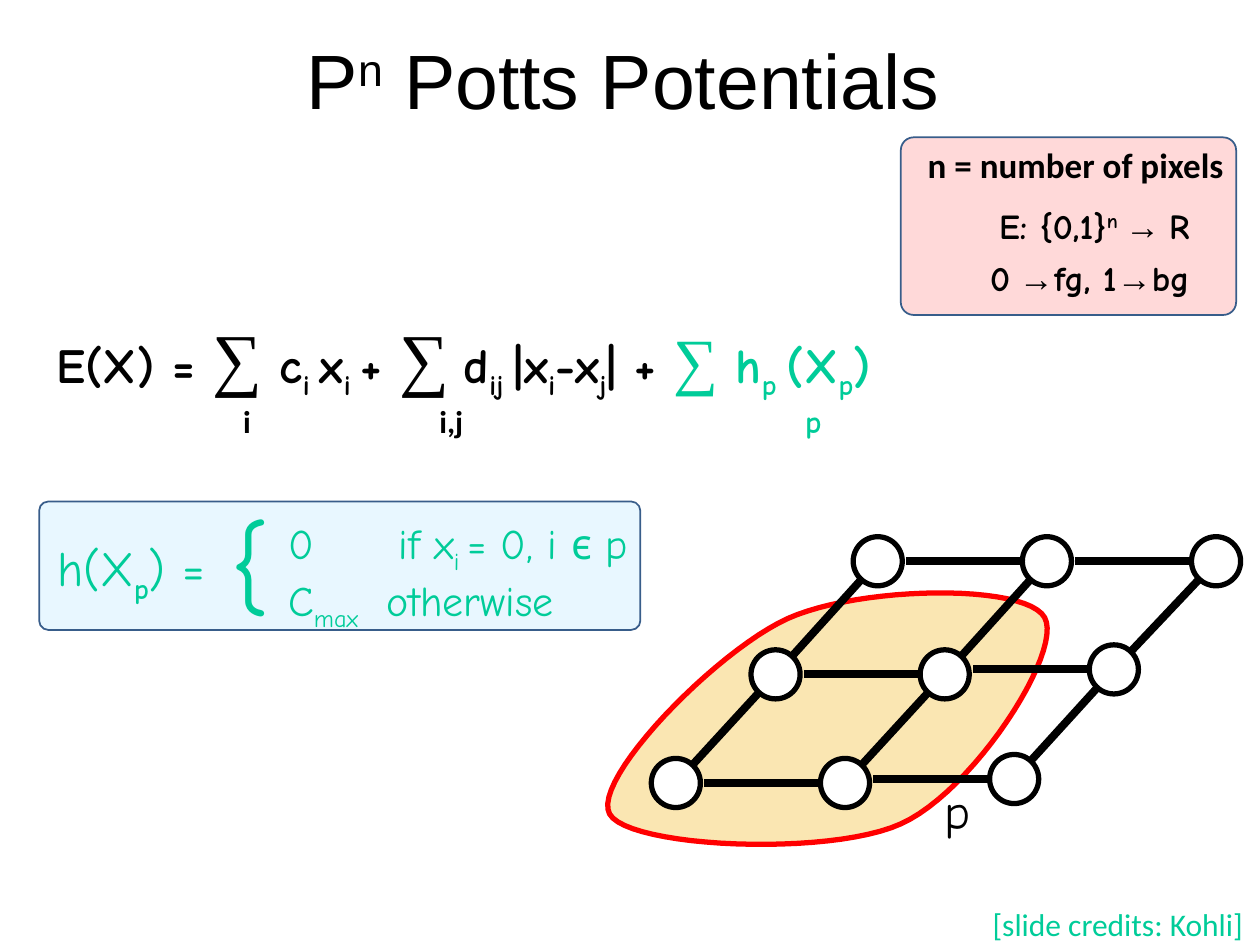
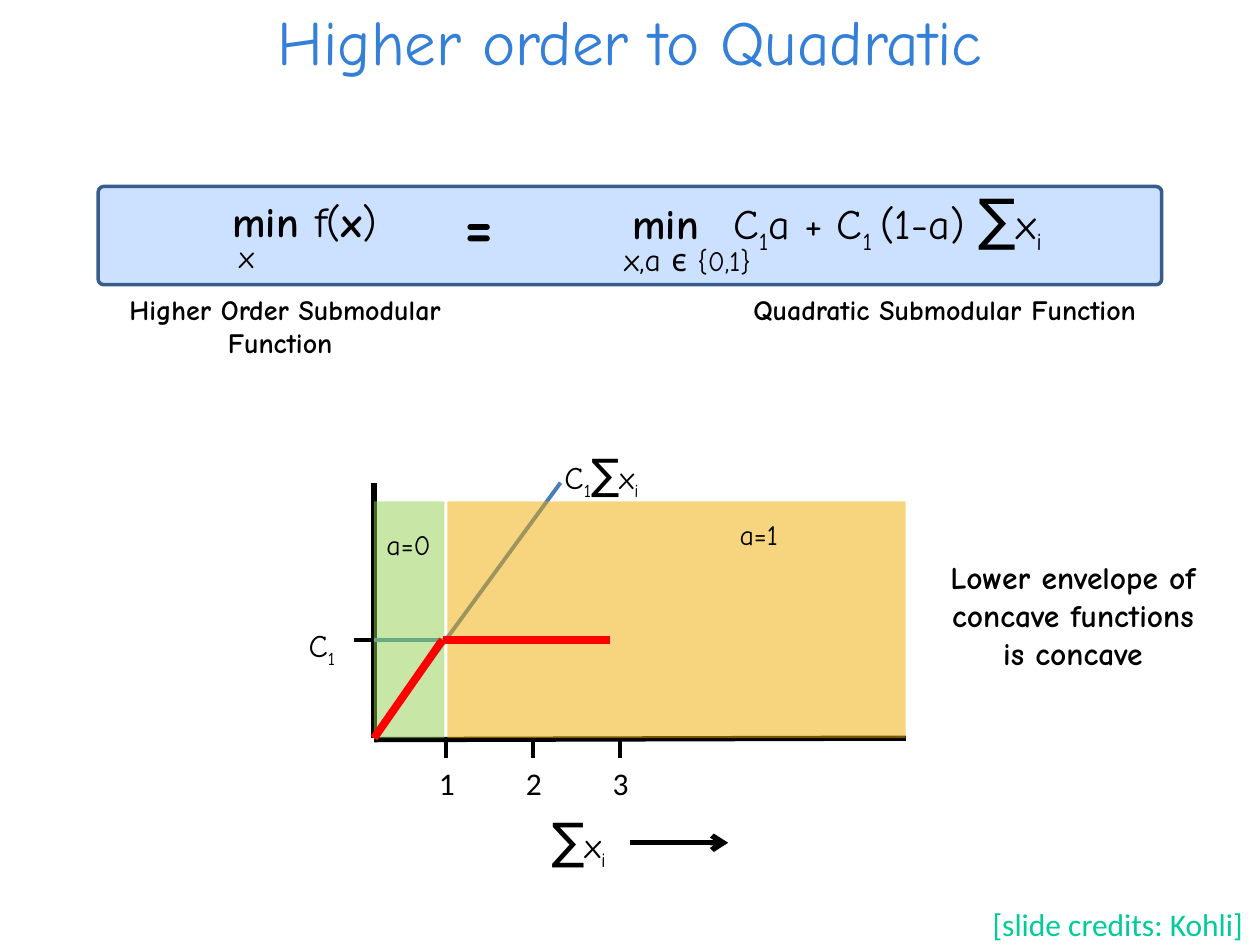
from dataclasses import dataclass

from lxml.etree import SubElement
from pptx import Presentation
from pptx.dml.color import RGBColor
from pptx.enum.shapes import MSO_CONNECTOR, MSO_SHAPE
from pptx.enum.text import MSO_ANCHOR, MSO_AUTO_SIZE, PP_ALIGN
from pptx.oxml.ns import qn
from pptx.util import Cm, Pt


@dataclass(frozen=True)
class Theme:
    ink: str = "000000"
    paper: str = "FFFFFF"
    mint: str = "00CC99"
    head: str = "347FD8"
    edge: str = "385D8A"
    blue: str = "4A7EBB"
    red: str = "FF0000"
    gold: str = "F0AD00"
    lime: str = "92D050"
    sky: str = "66CCFF"
    azure: str = "0066FF"
    hand: str = "Comic Neue"
    serif: str = "Times New Roman"
    sans: str = "Calibri"
    arial: str = "Arial"
    huge: int = 44
    big: int = 36
    math: int = 28
    mid: int = 24
    body: int = 20
    note: int = 18
    small: int = 16


T = Theme()
LEFT, CENTER, RIGHT = PP_ALIGN.LEFT, PP_ALIGN.CENTER, PP_ALIGN.RIGHT

# A paragraph is a list of runs: a string, or (string, format changes).
# Inside a string, "~" switches subscript on and off.
ARROW = {"font": T.serif}
SUM = {"font": T.serif, "size": 40, "bold": False}
MINT = {"color": T.mint}
CREDIT = (19.76, 18.11, 5.6, 1), ["[slide credits: Kohli]"]

POTTS_HEAD = ["P", ("n", {"base": 30}), " Potts Potentials "]
ENERGY = [
    "E(X) = ", ("∑ ", SUM), "c~i ~x~i ~+", (" ∑", SUM),
    (" ", SUM | {"size": 32}), "d~ij ~|x~i~-x~j~| + ",
    ("∑", SUM | MINT | {"size": T.big}), (" h~p ~(X~p~)", MINT),
]
DOMAIN = [
    ["E: {0,1}", ("n ", {"base": 30}), ("→ ", ARROW), "R"],
    ["0", (" →", ARROW), "fg, 1", ("→", ARROW), "bg"],
]
CASES = [["0\tif x~i ~= 0, i ϵ p"], ["C~max~\totherwise"]]

POTTS_PANELS = [
    ((0.79, 10.11, 12.12, 2.59), T.sky, 15),
    ((18.16, 2.77, 6.76, 3.58), T.red, 15),
]
INDEX = {"size": T.note, "bold": True}
POTTS_TEXT = [
    ((0.89, 6.2, 23, 3.2), [ENERGY], {"size": T.math, "bold": True}),
    ((4.65, 7.98, 0.8, 1), [["i"]], INDEX | {"font": T.sans}),
    ((8.61, 7.98, 1.4, 1), [["i,j"]], INDEX | {"font": T.sans}),
    ((15.98, 7.98, 1.2, 1), [["p"]], INDEX | MINT),
    ((18.8, 15.6, 1.2, 1.45), [["p"]], {"size": T.math}),
    ((4.39, 9.93, 2.2, 2.8), [["{"]], MINT | {"size": 60}),
    ((5.56, 10.31, 8.2, 2.57), CASES,
     MINT | {"size": T.mid, "tabs": (2.23, 1.98)}),
    ((0.91, 10.72, 3.9, 1.6),
     [["h(X", ("~p~", {"bold": True}), ") ="]], MINT | {"size": T.math}),
    ((18.5, 3.99, 5.73, 2.16), DOMAIN,
     {"size": T.body, "bold": True, "align": RIGHT, "gap": 6}),
    ((17.96, 2.77, 6.96, 1.95), [["n = number of pixels"]],
     {"size": T.body, "bold": True, "font": T.sans, "align": RIGHT}),
]

PATCH = [  # closed chain of cubic curves: start, then control, control, end
    (15.88, 12.47), (17.35, 11.81), (20.68, 11.76), (21.06, 12.45),
    (21.44, 13.13), (19.63, 15.95), (18.16, 16.61), (16.71, 17.27),
    (12.67, 17.09), (12.29, 16.41), (11.91, 15.72), (14.43, 13.13),
    (15.88, 12.47),
]
ROWS = [(17.2, 10.82, 0), (15.14, 13.1, 0.1), (13.13, 15.29, 0.08)]
COLS, STEP, DISC = 3, 3.41, 0.99

QUAD_PANEL = (1.98, 3.76, 21.44, 1.98), T.azure, 20
BOLD = {"bold": True}
CAPTION = {"size": T.small, "bold": True, "align": CENTER}
QUAD_TEXT = [
    ((2.18, 3.68, 7.92, 1.45),
     [[("min", BOLD), (" ", {"size": T.math}), "f(", ("x", BOLD), ")"]],
     {"size": T.mid, "align": CENTER}),
    ((12.5, 3.58, 10.5, 1.7),
     [[("min", BOLD), "\tC~1~a + C~1 ~(1-a) ", ("∑", {"size": 32}), "x~i~"]],
     {"size": T.mid, "tabs": (2.03,)}),
    ((4.57, 4.65, 1.4, 1), [["x"]], {}),
    ((9.12, 3.61, 2.4, 1.78), [["="]], {"size": T.big, "bold": True}),
    ((12.34, 4.72, 3.6, 1), [["x,a ϵ ", ("{0,1}", {"size": T.small})]], {}),
    ((2.18, 5.77, 7.14, 1.63), [["Higher Order Submodular Function "]],
     CAPTION),
    ((14.88, 5.77, 8.33, 0.94), [["Quadratic Submodular Function "]],
     CAPTION),
    ((10.87, 16.2, 2.2, 1.5), [[("∑", {"size": T.math}), "x~i~"]],
     {"size": T.body}),
    ((5.97, 12.5, 1.3, 1.1), [["C~1~"]], {}),
    ((11.13, 8.89, 2.6, 1.35), [["C~1~", ("∑", {"size": T.mid}), "x~i~"]],
     {}),
    ((14.66, 10.31, 2.4, 0.94), [["a=1"]], {"size": T.small}),
    ((7.54, 10.52, 2.4, 0.94), [["a=0"]], {"size": T.small}),
    ((18.85, 11.13, 5.56, 2.54),
     [["Lower envelope of concave functions is concave"]],
     {"bold": True, "align": CENTER}),
]

X0, Y0 = 7.54, 14.88          # plot origin
TOP, END, CAP = 9.73, 18.26, 12.9
TICK, GAP = 8.99, 1.75        # first tick and distance between ticks
BANDS = [((X0, 10.11, 1.42, 4.77), T.lime), ((9.02, 10.11, 9.24, 4.77), T.gold)]
AXES = [
    ((X0, TOP), (X0, Y0), T.ink, 3),
    ((END, Y0), (X0, Y0 + 0.03), T.ink, 3),
    ((X0 - 0.4, CAP), (X0, CAP), T.ink, 2.25),
    ((X0, Y0), (11.3, TOP), T.blue, 2.25),
    ((X0, CAP), (12.29, CAP), T.blue, 2.25),
]
LOWER = [
    ((X0, Y0), (8.92, CAP), T.red, 4.5),
    ((8.94, CAP), (12.29, CAP), T.red, 4.5),
]


def rgb(code):
    return RGBColor.from_string(code)


def write(frame, paras, font=T.hand, size=T.note, color=T.ink, bold=False,
          align=LEFT, gap=0, tabs=(), anchor=MSO_ANCHOR.TOP):
    """Fill a text frame; gap (points) separates paragraphs, tabs are in cm."""
    frame.word_wrap = True
    frame.auto_size = MSO_AUTO_SIZE.NONE
    frame.vertical_anchor = anchor
    basis = {"font": font, "size": size, "color": color, "bold": bold,
             "base": 0}
    for n, runs in enumerate(paras):
        para = frame.add_paragraph() if n else frame.paragraphs[0]
        para.alignment = align
        if n and gap:
            para.space_before = Pt(gap)
        if tabs:
            stops = SubElement(para._p.get_or_add_pPr(), qn("a:tabLst"))
            SubElement(stops, qn("a:tab"), pos=str(Cm(tabs[n])), algn="l")
        for item in runs:
            words, change = (item, {}) if isinstance(item, str) else item
            look = basis | change
            for k, part in enumerate(words.split("~")):
                if not part:
                    continue
                run = para.add_run()
                run.text = part
                run.font.name = look["font"]
                run.font.size = Pt(look["size"])
                run.font.bold = look["bold"]
                run.font.color.rgb = rgb(look["color"])
                base = -25 if k % 2 else look["base"]
                if base:
                    run._r.get_or_add_rPr().set("baseline", str(base * 1000))


def label(slide, at, paras, **look):
    write(slide.shapes.add_textbox(*map(Cm, at)).text_frame, paras, **look)


def paint(shape, fill, alpha=100, line=None, width=1):
    """Set flat fill, opacity in percent and outline."""
    shape.shadow.inherit = False
    shape.fill.solid()
    shape.fill.fore_color.rgb = rgb(fill)
    if alpha < 100:
        tint = shape._element.spPr.find(qn("a:solidFill"))[0]
        SubElement(tint, qn("a:alpha"), val=str(alpha * 1000))
    if line:
        shape.line.color.rgb = rgb(line)
        shape.line.width = Pt(width)
    else:
        shape.line.fill.background()


def panel(slide, at, fill, alpha, adj=0.072, width=1):
    shape = slide.shapes.add_shape(MSO_SHAPE.ROUNDED_RECTANGLE, *map(Cm, at))
    shape.adjustments[0] = adj
    paint(shape, fill, alpha, T.edge, width)


def stroke(slide, start, end, color, width, arrow=False):
    line = slide.shapes.add_connector(
        MSO_CONNECTOR.STRAIGHT, *map(Cm, (*start, *end)))
    line.line.color.rgb = rgb(color)
    line.line.width = Pt(width)
    if arrow:
        SubElement(line.line._get_or_add_ln(), qn("a:tailEnd"), type="arrow")
    SubElement(line._element.spPr, qn("a:effectLst"))


def page(deck, at, runs, **look):
    """Add a slide with its title and the shared credit line."""
    slide = deck.slides.add_slide(deck.slide_layouts[5])
    head = slide.shapes.title
    head.left, head.top, head.width, head.height = map(Cm, at)
    write(head.text_frame, [runs], align=CENTER, anchor=MSO_ANCHOR.MIDDLE,
          **look)
    spot, words = CREDIT
    label(slide, spot, [words], font=T.sans, color=T.mint)
    return slide


def blob(slide, steps=24):
    """Trace the closed curve chain of PATCH."""
    dots = []
    for n in range(0, len(PATCH) - 1, 3):
        ends = PATCH[n:n + 4]
        for k in range(1, steps + 1):
            t = k / steps
            u = 1 - t
            mix = (u ** 3, 3 * u * u * t, 3 * u * t * t, t ** 3)
            dots.append(tuple(
                Cm(sum(m * p[axis] for m, p in zip(mix, ends)))
                for axis in (0, 1)))
    path = slide.shapes.build_freeform(*map(Cm, PATCH[0]))
    path.add_line_segments(dots, close=True)
    paint(path.convert_to_shape(), T.gold, 30, T.red, 3)


def lattice(slide):
    """Draw the pixel grid: edges first, then the nodes over them."""
    half = DISC / 2
    grid = [[(x + c * STEP, y - (lift if c == COLS - 1 else 0))
             for c in range(COLS)] for x, y, lift in ROWS]
    for row in grid:
        for (ax, _), (bx, by) in zip(row, row[1:]):
            stroke(slide, (bx - 0.05, by + half),
                   (ax + DISC + 0.07, by + half), T.ink, 4.5)
    for back, front in zip(grid, grid[1:]):
        for a, b in zip(back, front):
            stroke(slide, [v + half for v in a], [v + half for v in b],
                   T.ink, 4.5)
    for x, y in sum(grid, []):
        node = slide.shapes.add_shape(
            MSO_SHAPE.OVAL, *map(Cm, (x, y, DISC, DISC)))
        paint(node, T.paper, line=T.ink, width=3)


def potts(deck):
    slide = page(deck, (1.35, 0, 22.86, 3.18), POTTS_HEAD,
                 font=T.arial, size=T.huge)
    for item in POTTS_PANELS:
        panel(slide, *item)
    blob(slide)
    lattice(slide)
    for at, paras, look in POTTS_TEXT:
        label(slide, at, paras, **look)


def quad(deck):
    slide = page(deck, (0.5, 0, 24.4, 1.63), ["Higher order to Quadratic"],
                 size=T.big, color=T.head)
    panel(slide, *QUAD_PANEL, adj=0.057, width=2)
    for item in AXES:
        stroke(slide, *item)
    for n in range(3):
        x = TICK + n * GAP
        stroke(slide, (x, Y0), (x, Y0 + 0.4), T.ink, 2.25)
        label(slide, (x - 0.39, 15.27, 1.2, 1), [[str(n + 1)]], font=T.sans)
    stroke(slide, (12.7, 16.99), (14.68, 16.99), T.ink, 3, arrow=True)
    for at, fill in BANDS:
        band = slide.shapes.add_shape(MSO_SHAPE.RECTANGLE, *map(Cm, at))
        paint(band, fill, 50)
    for item in LOWER:
        stroke(slide, *item)
    for at, paras, look in QUAD_TEXT:
        label(slide, at, paras, **look)


def main():
    deck = Presentation()
    deck.slide_width, deck.slide_height = Cm(25.4), Cm(19.05)
    potts(deck)
    quad(deck)
    deck.save("out.pptx")


if __name__ == "__main__":
    main()
